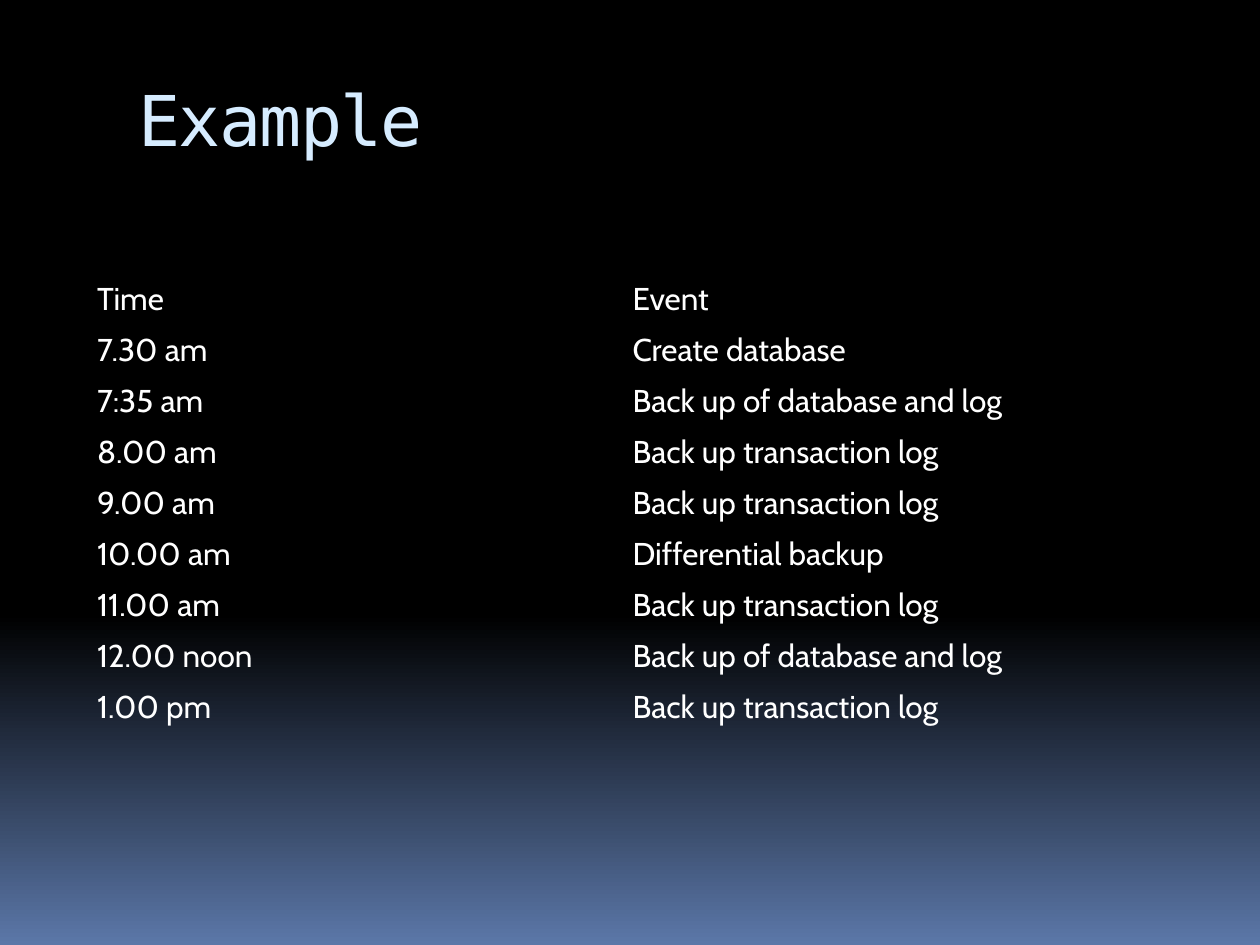
from lxml.etree import SubElement
from pptx import Presentation
from pptx.dml.color import RGBColor
from pptx.enum.shapes import MSO_SHAPE
from pptx.enum.text import MSO_ANCHOR, PP_ALIGN
from pptx.oxml.ns import qn
from pptx.util import Inches, Pt

WHITE = RGBColor(0xFF, 0xFF, 0xFF)
PALE_BLUE = RGBColor(0xD6, 0xEC, 0xFF)
BLACK = RGBColor(0x00, 0x00, 0x00)
DUSK_BLUE = RGBColor(0x5B, 0x77, 0xA8)
PLAIN_TABLE_STYLE = "{2D5ABB26-0587-4C30-8999-92F81FD0307C}"

ACCENT_BARS = [(0.34, 0.05), (0.29, 0.03), (0.27, 0.01), (0.24, 0.01)]
SCHEDULE = [
    ("Time", "Event"),
    ("7.30 am", "Create database"),
    ("7:35 am", "Back up of database and log"),
    ("8.00 am", "Back up transaction log"),
    ("9.00 am", "Back up transaction log"),
    ("10.00 am", "Differential backup"),
    ("11.00 am", "Back up transaction log"),
    ("12.00 noon", "Back up of database and log"),
    ("1.00 pm", "Back up transaction log"),
]


def style_run(span, font_name, size, color):
    span.font.name = font_name
    span.font.size = Pt(size)
    span.font.color.rgb = color


deck = Presentation()
deck.slide_width = Inches(10)
deck.slide_height = Inches(7.5)
page = deck.slides.add_slide(deck.slide_layouts[5])

background = page.background.fill
background.gradient()
background.gradient_angle = 270
stop_list = page.background._cSld.find(".//" + qn("a:gsLst"))
for stop in list(stop_list):
    stop_list.remove(stop)
for percent, color in [(0, BLACK), (65, BLACK), (100, DUSK_BLUE)]:
    stop = SubElement(stop_list, qn("a:gs"), pos=str(percent * 1000))
    SubElement(stop, qn("a:srgbClr"), val=str(color))

for left, width in ACCENT_BARS:
    bar = page.shapes.add_shape(
        MSO_SHAPE.RECTANGLE, Inches(left), Inches(0.74), Inches(width), Inches(0.4)
    )
    bar.shadow.inherit = False
    bar.fill.solid()
    bar.fill.fore_color.rgb = BLACK
    bar.line.fill.background()

title = page.shapes.title
title.left, title.top = Inches(1), Inches(0.56)
title.width, title.height = Inches(8.5), Inches(1)
title_frame = title.text_frame
title_frame.text = "Example"
title_frame.vertical_anchor = MSO_ANCHOR.TOP
title_frame.margin_top = Inches(0.05)
title_para = title_frame.paragraphs[0]
title_para.alignment = PP_ALIGN.LEFT
title_span = title_para.runs[0]
style_run(title_span, "DejaVu Sans Mono", 40, PALE_BLUE)
title_span.font._element.set("spc", "-100")

table_frame = page.shapes.add_table(
    len(SCHEDULE), 2, Inches(0.67), Inches(2.17), Inches(8.5), Inches(3.6)
)
table = table_frame.table
table.first_row = False
table.horz_banding = False
table._tbl.tblPr.find(qn("a:tableStyleId")).text = PLAIN_TABLE_STYLE
for row, entries in zip(table.rows, SCHEDULE):
    for cell, entry in zip(row.cells, entries):
        cell.text = entry
        cell.fill.background()
        cell.vertical_anchor = MSO_ANCHOR.MIDDLE
        style_run(cell.text_frame.paragraphs[0].runs[0], "Cabin", 18, WHITE)

deck.save("out.pptx")
